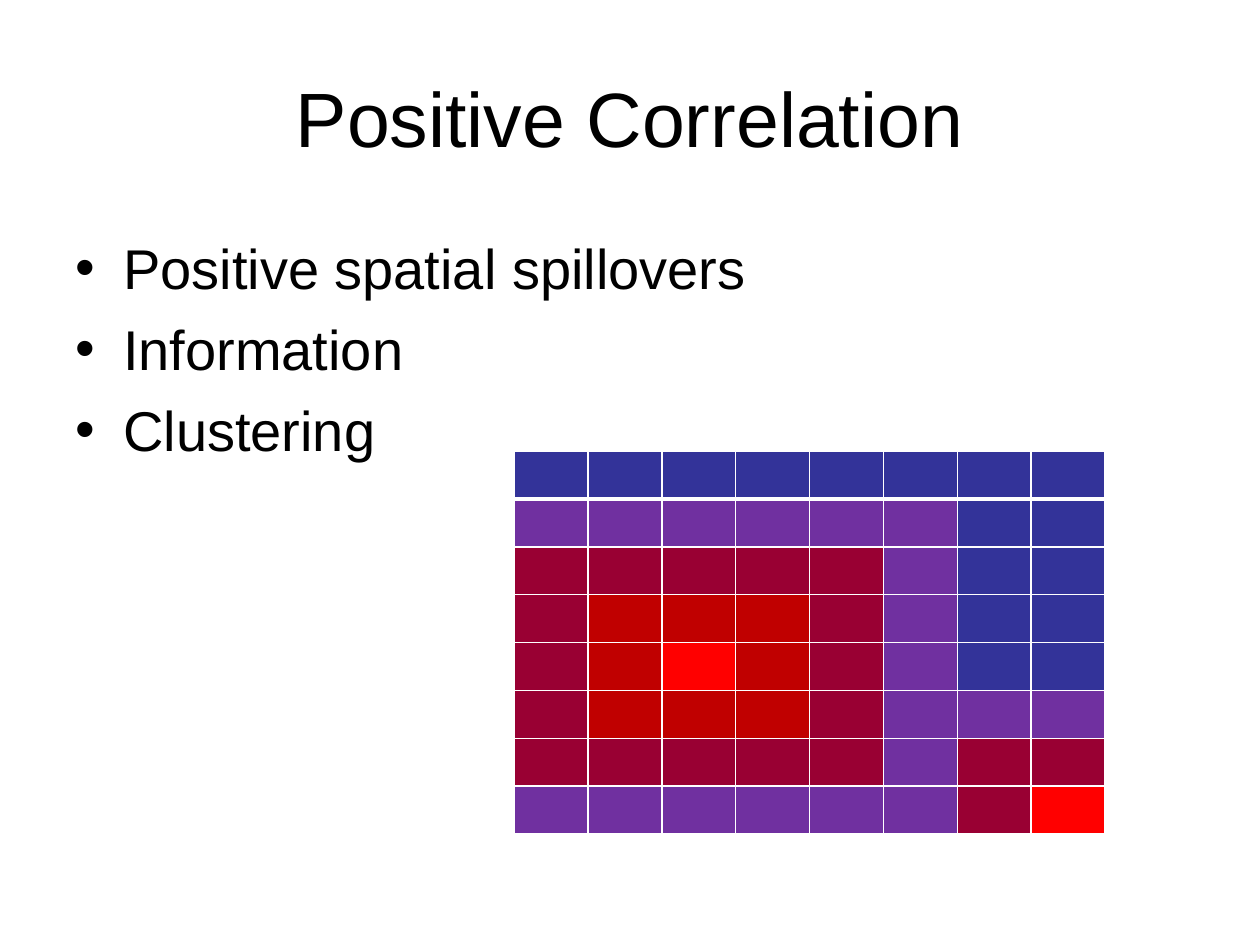
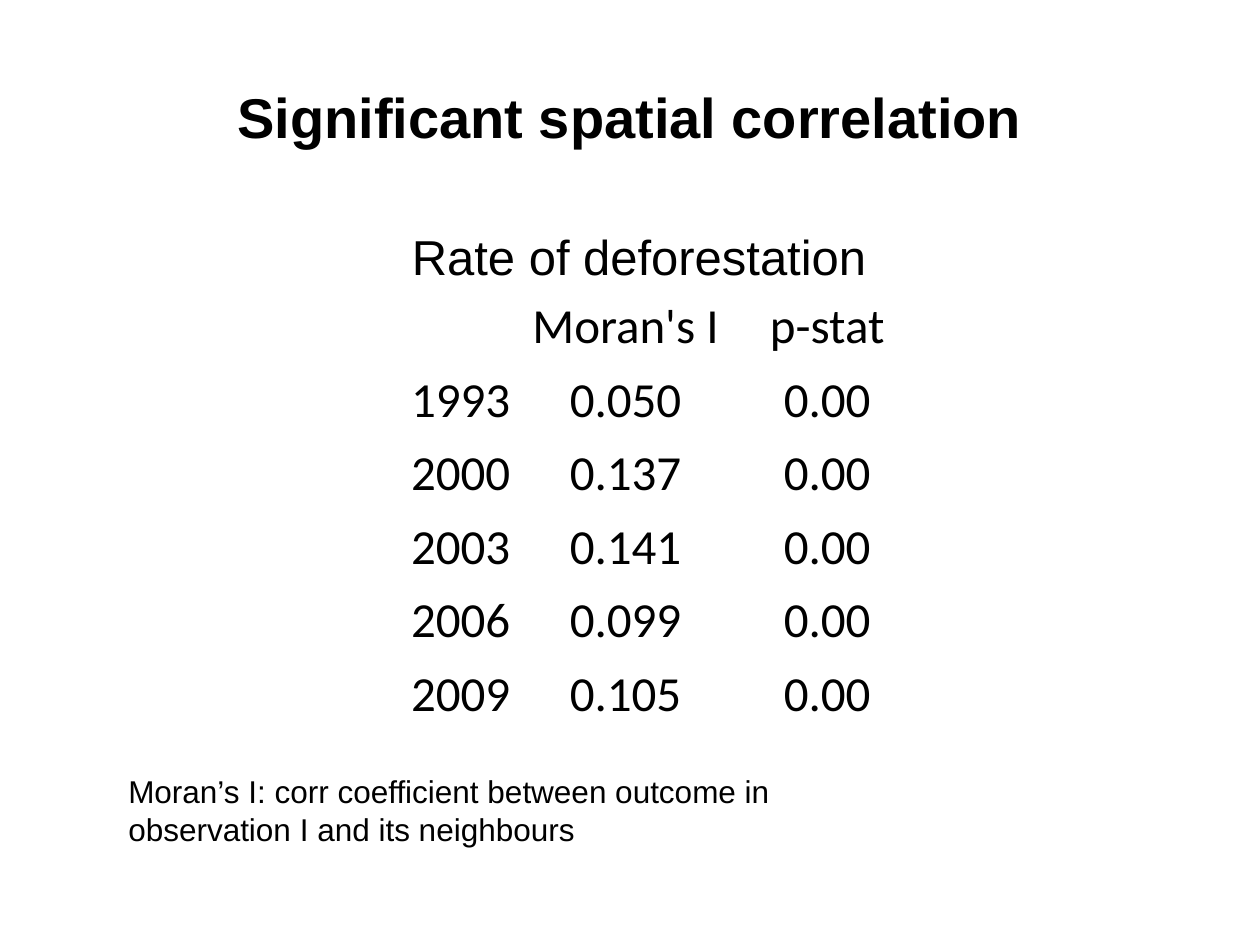
"""Build two slides on spatial correlation."""
from dataclasses import dataclass

from lxml.etree import SubElement
from pptx import Presentation
from pptx.dml.color import RGBColor
from pptx.enum.text import MSO_ANCHOR, PP_ALIGN
from pptx.oxml.ns import qn
from pptx.util import Inches, Pt

BLACK = RGBColor(0x00, 0x00, 0x00)
WHITE = RGBColor(0xFF, 0xFF, 0xFF)
HEAT_COLOURS = {
    "B": RGBColor(0x33, 0x33, 0x99),
    "P": RGBColor(0x70, 0x30, 0xA0),
    "M": RGBColor(0x99, 0x00, 0x33),
    "D": RGBColor(0xC0, 0x00, 0x00),
    "R": RGBColor(0xFF, 0x00, 0x00),
}
HEAT_ROWS = (
    "BBBBBBBB",
    "PPPPPPBB",
    "MMMMMPBB",
    "MDDDMPBB",
    "MDRDMPBB",
    "MDDDMPPP",
    "MMMMMPMM",
    "PPPPPPMR",
)
MORAN_ROWS = (
    ("", "Moran's I", "p-stat"),
    ("1993", "0.050", "0.00"),
    ("2000", "0.137", "0.00"),
    ("2003", "0.141", "0.00"),
    ("2006", "0.099", "0.00"),
    ("2009", "0.105", "0.00"),
)


@dataclass(frozen=True)
class Box:
    left: float
    top: float
    width: float
    height: float

    def lengths(self):
        return [Inches(n) for n in (self.left, self.top, self.width, self.height)]


TITLE_BOX = Box(0.5, 0.3, 9, 1.25)


def format_runs(paragraph, size: float, font: str = "Arial", bold: bool = False) -> None:
    """Give every run of a paragraph one font, size and weight."""
    for run in paragraph.runs:
        run.font.name = font
        run.font.size = Pt(size)
        run.font.bold = bold
        run.font.color.rgb = BLACK


def add_titled_slide(presentation, title: str, size: float, bold: bool = False):
    """Add a slide with a centred title."""
    slide = presentation.slides.add_slide(presentation.slide_layouts[5])
    shape = slide.shapes.title
    shape.left, shape.top, shape.width, shape.height = TITLE_BOX.lengths()
    shape.text_frame.text = title
    shape.text_frame.vertical_anchor = MSO_ANCHOR.MIDDLE
    paragraph = shape.text_frame.paragraphs[0]
    paragraph.alignment = PP_ALIGN.CENTER
    format_runs(paragraph, size, bold=bold)
    return slide


def add_text(slide, box: Box, text: str, size: float):
    """Add a wrapped text box and return its text frame."""
    text_frame = slide.shapes.add_textbox(*box.lengths()).text_frame
    text_frame.word_wrap = True
    text_frame.text = text
    for paragraph in text_frame.paragraphs:
        format_runs(paragraph, size)
    return text_frame


def add_bullets(slide, box: Box, lines: list[str]) -> None:
    """Add a bulleted list with hanging indents."""
    text_frame = add_text(slide, box, "\n".join(lines), 32)
    text_frame.margin_top = Inches(0.1)
    for index, paragraph in enumerate(text_frame.paragraphs):
        properties = paragraph._p.get_or_add_pPr()
        properties.set("marL", str(Inches(0.38)))
        properties.set("indent", str(-Inches(0.38)))
        SubElement(properties, qn("a:buFont"), typeface="Arial")
        SubElement(properties, qn("a:buChar"), char="•")
        if index:
            paragraph.space_before = Pt(8)


def add_plain_table(slide, box: Box, row_count: int, widths: list[float]):
    """Add a table with equal rows and no style options."""
    frame = slide.shapes.add_table(row_count, len(widths), *box.lengths())
    table = frame.table
    table.first_row = table.horz_banding = False
    for column, width in zip(table.columns, widths):
        column.width = Inches(width)
    for row in table.rows:
        row.height = Inches(box.height / row_count)
    return table


def set_margins(cell, side: float, bottom: float) -> None:
    """Set the inner margins of a cell."""
    cell.margin_left = cell.margin_right = cell.margin_top = Inches(side)
    cell.margin_bottom = Inches(bottom)


def set_borders(cell, top: float, bottom: float) -> None:
    """Draw white borders with one-point sides."""
    properties = cell._tc.get_or_add_tcPr()
    for tag, points in (("lnL", 1), ("lnR", 1), ("lnT", top), ("lnB", bottom)):
        line = SubElement(properties, qn(f"a:{tag}"), w=str(Pt(points)))
        fill = SubElement(line, qn("a:solidFill"))
        SubElement(fill, qn("a:srgbClr"), val=str(WHITE))


def add_heat_grid(slide, box: Box) -> None:
    """Add the coloured grid of clustered cells."""
    columns = len(HEAT_ROWS[0])
    table = add_plain_table(slide, box, len(HEAT_ROWS), [box.width / columns] * columns)
    for row_index, row in enumerate(HEAT_ROWS):
        for column_index, code in enumerate(row):
            cell = table.cell(row_index, column_index)
            set_margins(cell, 0, 0)
            set_borders(cell, 3 if row_index == 1 else 1, 3 if row_index == 0 else 1)
            cell.fill.solid()
            cell.fill.fore_color.rgb = HEAT_COLOURS[code]


def add_moran_table(slide, box: Box) -> None:
    """Add the table of Moran's I by year."""
    table = add_plain_table(slide, box, len(MORAN_ROWS), [1.81, 1.81, 1.39])
    for row_index, row in enumerate(MORAN_ROWS):
        for column_index, text in enumerate(row):
            cell = table.cell(row_index, column_index)
            cell.fill.background()
            cell.vertical_anchor = MSO_ANCHOR.BOTTOM
            set_margins(cell, 0.01, 0)
            cell.text_frame.text = text
            paragraph = cell.text_frame.paragraphs[0]
            paragraph.alignment = PP_ALIGN.CENTER if column_index else PP_ALIGN.RIGHT
            format_runs(paragraph, 28, "Calibri")


def main() -> None:
    """Build and save the presentation."""
    presentation = Presentation()
    presentation.slide_width, presentation.slide_height = Inches(10), Inches(7.5)

    slide = add_titled_slide(presentation, "Positive Correlation", 44)
    add_bullets(slide, Box(0.5, 1.75, 9, 4.95),
                ["Positive spatial spillovers", "Information", "Clustering"])
    add_heat_grid(slide, Box(4.08, 3.58, 4.69, 3.04))

    slide = add_titled_slide(presentation, "Significant spatial correlation", 32, bold=True)
    add_moran_table(slide, Box(2.25, 2.25, 5, 3.5))
    add_text(slide, Box(0.92, 6.08, 5.67, 0.71),
             "Moran’s I: corr coefficient between outcome in observation I and its neighbours", 18)
    add_text(slide, Box(3.17, 1.75, 4.58, 0.57), "Rate of deforestation", 28)

    presentation.save("out.pptx")


if __name__ == "__main__":
    main()
